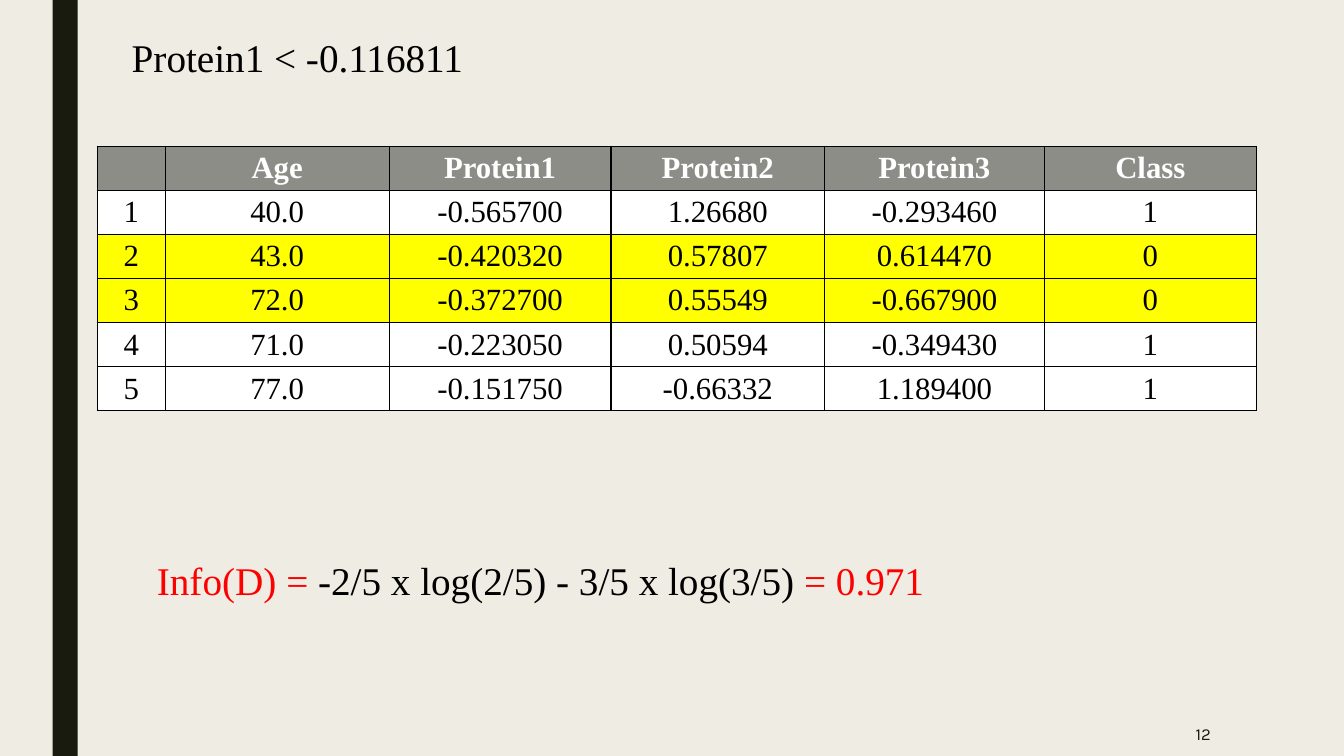
import pptx
import pptx.dml.color
import pptx.enum.shapes
import pptx.enum.text
import pptx.oxml
import pptx.oxml.ns
import pptx.util

Pt = pptx.util.Pt
Align = pptx.enum.text.PP_ALIGN
Anchor = pptx.enum.text.MSO_ANCHOR

SERIF = "Times New Roman"
DARK, BLACK, WHITE = "191B0E", "000000", "FFFFFF"
RED, YELLOW, GREY = "FF0000", "FFFF00", "8C8D86"


def color(code):
    return pptx.dml.color.RGBColor.from_string(code)


def paint(item, code):
    item.fill.solid()
    item.fill.fore_color.rgb = color(code)


def write(para, text, size=28, font=SERIF, ink=BLACK, bold=False):
    run = para.add_run()
    run.text = text
    run.font.size = Pt(size)
    run.font.name = font
    run.font.bold = bold
    run.font.color.rgb = color(ink)


class Page:
    def __init__(self, deck, back):
        self.slide = deck.slides.add_slide(deck.slide_layouts[6])
        paint(self.slide.background, back)

    def bar(self, x, y, w, h, code):
        shape = self.slide.shapes.add_shape(
            pptx.enum.shapes.MSO_SHAPE.RECTANGLE, Pt(x), Pt(y), Pt(w), Pt(h))
        shape.shadow.inherit = False
        paint(shape, code)
        shape.line.fill.background()

    def label(self, x, y, w, h, parts, align=Align.LEFT, anchor=Anchor.TOP, **style):
        box = self.slide.shapes.add_textbox(Pt(x), Pt(y), Pt(w), Pt(h))
        frame = box.text_frame
        frame.word_wrap = True
        frame.vertical_anchor = anchor
        para = frame.paragraphs[0]
        para.alignment = align
        for text, ink in parts:
            write(para, text, ink=ink, **style)

    def edge(self, cell):
        props = cell._tc.get_or_add_tcPr()
        for place, side in enumerate(("lnL", "lnR", "lnT", "lnB")):
            line = pptx.oxml.parse_xml(
                f'<a:{side} {pptx.oxml.ns.nsdecls("a")} w="12700"><a:solidFill>'
                f'<a:srgbClr val="{BLACK}"/></a:solidFill></a:{side}>')
            props.insert(place, line)

    def table(self, x, y, widths, high, rows, marked):
        grid = self.slide.shapes.add_table(
            len(rows), len(widths), Pt(x), Pt(y),
            Pt(sum(widths)), Pt(high * len(rows))).table
        for col, width in zip(grid.columns, widths):
            col.width = Pt(width)
        for r, row in enumerate(rows):
            grid.rows[r].height = Pt(high)
            head = r == 0
            fill = GREY if head else YELLOW if r in marked else WHITE
            for c, text in enumerate(row):
                cell = grid.cell(r, c)
                paint(cell, fill)
                self.edge(cell)
                cell.margin_top = cell.margin_bottom = 0
                cell.vertical_anchor = Anchor.MIDDLE
                if text:
                    para = cell.text_frame.paragraphs[0]
                    para.alignment = Align.CENTER
                    write(para, text, size=22, bold=head,
                          ink=WHITE if head else BLACK)


def main():
    deck = pptx.Presentation()
    deck.slide_width, deck.slide_height = Pt(960), Pt(540)
    page = Page(deck, "EFEDE3")

    # Side bar
    page.bar(37.5, 0, 18, 540, DARK)

    # Samples below the split, class 0 marked
    rows = [
        ("", "Age", "Protein1", "Protein2", "Protein3", "Class"),
        ("1", "40.0", "-0.565700", "1.26680", "-0.293460", "1"),
        ("2", "43.0", "-0.420320", "0.57807", "0.614470", "0"),
        ("3", "72.0", "-0.372700", "0.55549", "-0.667900", "0"),
        ("4", "71.0", "-0.223050", "0.50594", "-0.349430", "1"),
        ("5", "77.0", "-0.151750", "-0.66332", "1.189400", "1"),
    ]
    widths = (48.5, 160, 158.5, 152.5, 157, 151.5)
    page.table(69.5, 104.5, widths, 31.5, rows, marked=(2, 3))

    # Entropy formula
    page.label(105, 394, 572, 41, [
        ("Info(D) = ", RED),
        ("-2/5 x log(2/5) - 3/5 x log(3/5) ", BLACK),
        ("= 0.971", RED)])

    # Page number
    page.label(746, 508.5, 126, 31.5, [("12", DARK)], align=Align.RIGHT,
               anchor=Anchor.MIDDLE, size=12, font="Karla")

    # Split condition
    page.label(87, 20, 267, 41, [("Protein1 < -0.116811", BLACK)])

    deck.save("out.pptx")


if __name__ == "__main__":
    main()
